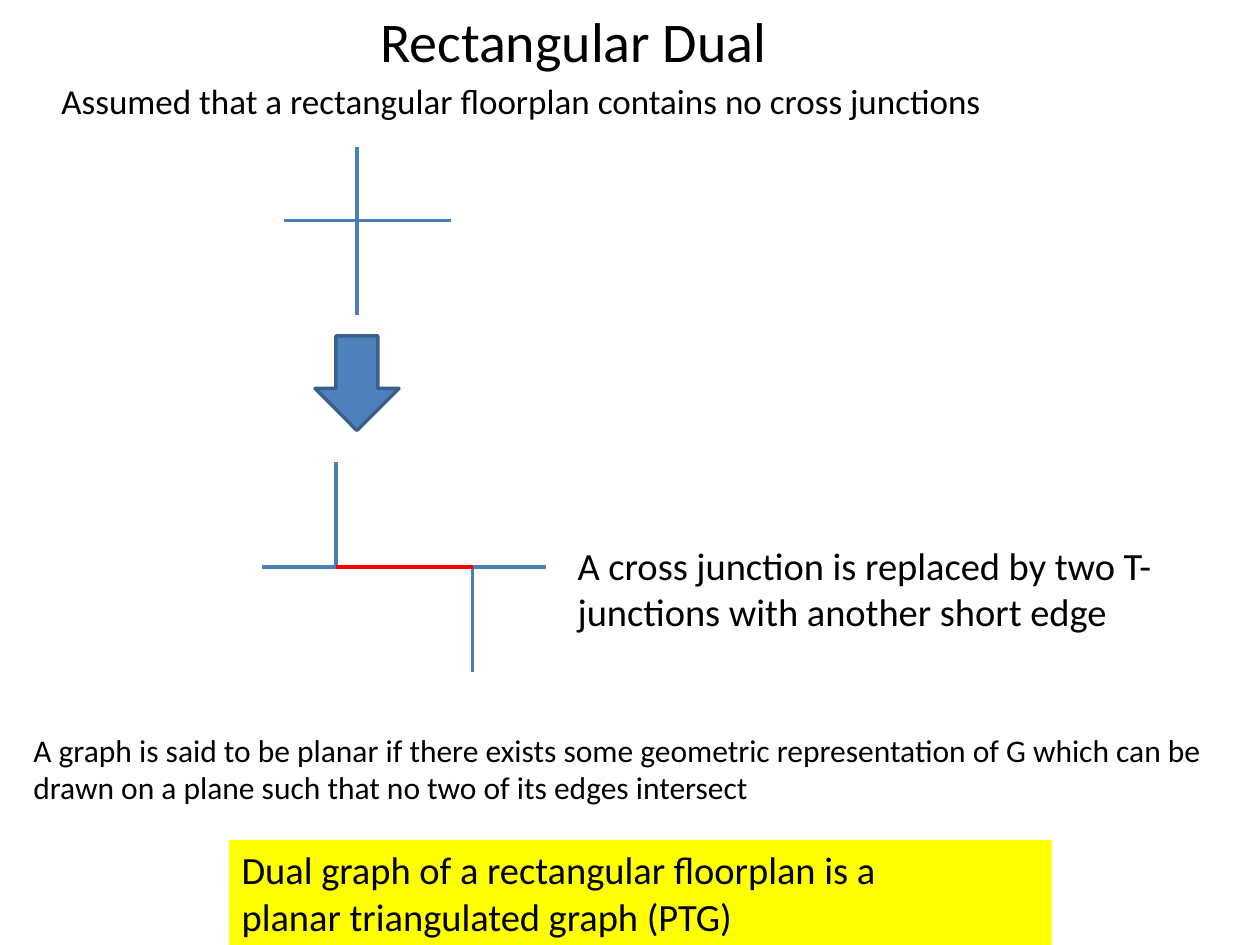
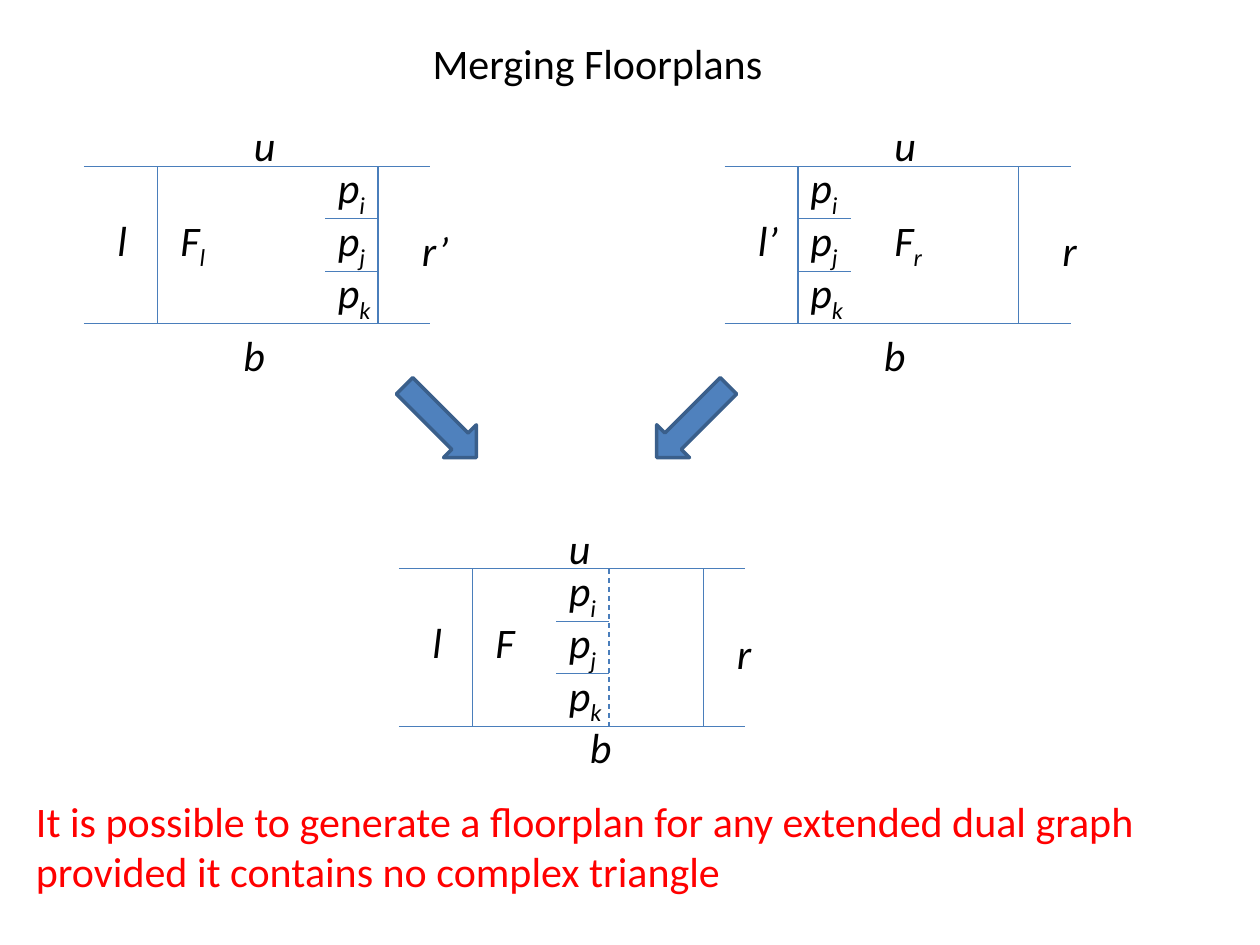
from lxml.etree import SubElement
from pptx import Presentation
from pptx.dml.color import RGBColor
from pptx.enum.dml import MSO_LINE
from pptx.enum.shapes import MSO_CONNECTOR, MSO_SHAPE
from pptx.enum.text import MSO_ANCHOR, MSO_AUTO_SIZE, PP_ALIGN
from pptx.oxml.ns import qn
from pptx.util import Pt

COLORS = {
    "text": "000000",
    "line": "4A7EBB",
    "arrow": "4F81BD",
    "arrow_edge": "3A5F8B",
    "accent": "FF0000",
    "highlight": "FFFF00",
}
FONT = "Calibri"
TITLE_ONLY = 5
ROW_HEIGHT = 30
PLAN_WIDTH, PLAN_HEIGHT = 198, 3 * ROW_HEIGHT
LEFT_WALL = 42


def color(name):
    return RGBColor.from_string(COLORS[name])


def format_text(text_frame, size, color_name="text", italic=False):
    text_frame.word_wrap = True
    text_frame.auto_size = MSO_AUTO_SIZE.NONE
    for paragraph in text_frame.paragraphs:
        paragraph.alignment = PP_ALIGN.LEFT
        for run in paragraph.runs:
            run.font.name = FONT
            run.font.size = Pt(size)
            run.font.italic = italic
            run.font.color.rgb = color(color_name)


def add_titled_slide(presentation, title, left, top, width, height, size):
    slide = presentation.slides.add_slide(presentation.slide_layouts[TITLE_ONLY])
    shape = slide.shapes.title
    shape.left, shape.top = Pt(left), Pt(top)
    shape.width, shape.height = Pt(width), Pt(height)
    shape.text_frame.text = title
    shape.text_frame.vertical_anchor = MSO_ANCHOR.TOP
    format_text(shape.text_frame, size)
    return slide


def add_text(slide, text, left, top, width, height, size, color_name="text"):
    shape = slide.shapes.add_textbox(Pt(left), Pt(top), Pt(width), Pt(height))
    shape.text_frame.text = text
    format_text(shape.text_frame, size, color_name)


def add_label(slide, label, left, top):
    """Italic symbol; the part after an underscore becomes a subscript."""
    shape = slide.shapes.add_textbox(Pt(left), Pt(top), Pt(48), Pt(38))
    symbol, _, subscript = label.partition("_")
    paragraph = shape.text_frame.paragraphs[0]
    paragraph.text = symbol
    if subscript:
        run = paragraph.add_run()
        run.text = subscript
        run.font._element.set("baseline", "-25000")
    format_text(shape.text_frame, 24, italic=True)


def add_line(slide, x1, y1, x2, y2, width=0.75, color_name="line", dashed=False):
    connector = slide.shapes.add_connector(
        MSO_CONNECTOR.STRAIGHT, Pt(x1), Pt(y1), Pt(x2), Pt(y2))
    connector.line.color.rgb = color(color_name)
    connector.line.width = Pt(width)
    if dashed:
        connector.line.dash_style = MSO_LINE.DASH
    SubElement(connector._element.spPr, qn("a:effectLst"))


def add_filled_shape(slide, kind, left, top, width, height, fill):
    shape = slide.shapes.add_shape(kind, Pt(left), Pt(top), Pt(width), Pt(height))
    shape.shadow.inherit = False
    shape.fill.solid()
    shape.fill.fore_color.rgb = color(fill)
    return shape


def add_arrow(slide, left, top, width, height, rotation=0):
    arrow = add_filled_shape(
        slide, MSO_SHAPE.DOWN_ARROW, left, top, width, height, "arrow")
    arrow.line.color.rgb = color("arrow_edge")
    arrow.line.width = Pt(2)
    arrow.rotation = rotation


def add_highlight(slide, text, left, top, width, height):
    box = add_filled_shape(
        slide, MSO_SHAPE.RECTANGLE, left, top, width, height, "highlight")
    box.line.fill.background()
    box.text_frame.text = text
    box.text_frame.vertical_anchor = MSO_ANCHOR.MIDDLE
    format_text(box.text_frame, 22)


def add_floorplan(slide, left, top, right_wall, rooms_x, labels, seam=None):
    """Draw a plan; wall, room and label offsets are measured from its corner."""
    bottom = top + PLAN_HEIGHT
    for y in (top, bottom):
        add_line(slide, left, y, left + PLAN_WIDTH, y)
    for wall in (LEFT_WALL, right_wall):
        add_line(slide, left + wall, top, left + wall, bottom)
    if seam is not None:
        add_line(slide, left + seam, top, left + seam, bottom, dashed=True)

    # Stacked rooms along the seam
    rooms_left = left + rooms_x
    for row, room in enumerate(("p_i", "p_j", "p_k")):
        y = top + row * ROW_HEIGHT
        if row:
            add_line(slide, rooms_left, y, rooms_left + 30, y)
        add_label(slide, room, rooms_left, y - 6)

    for label, x, y in labels:
        add_label(slide, label, left + x, top + y)


def build_rectangular_dual(presentation):
    slide = add_titled_slide(presentation, "Rectangular Dual", 210, 0, 436, 45, 32)
    add_text(slide, "Assumed that a rectangular floorplan contains no cross junctions",
             28, 42, 701, 31, 20)

    # Cross junction, then the two T-junctions that replace it
    for ends in ((204, 84, 204, 180), (162, 126, 258, 126),
                 (192, 264, 192, 324), (150, 324, 192, 324),
                 (270, 324, 270, 384), (270, 324, 312, 324)):
        add_line(slide, *ends, width=2.25)
    add_line(slide, 192, 324, 270, 324, width=2.25, color_name="accent")
    add_arrow(slide, 180, 192, 48, 54)

    # Explanations
    add_text(slide, "A cross junction is replaced by two T-junctions with another short edge",
             323, 306, 379, 60, 22)
    add_text(slide, "A graph is said to be planar if there exists some geometric "
             "representation of G which can be drawn on a plane such that no two "
             "of its edges intersect", 12, 414, 702, 50, 18)
    add_highlight(slide, "Dual graph of a rectangular floorplan is a\n"
                  "planar triangulated graph (PTG)", 131, 480, 470, 60)


def build_merging_floorplans(presentation):
    slide = add_titled_slide(presentation, "Merging Floorplans", 240, 18, 310, 36, 24)

    # Left and right plans
    add_floorplan(slide, 48, 95, 168, 138, [
        ("u", 90, -30), ("b", 84, 90), ("l", 12, 24), ("F_l", 48, 24), ("r’", 186, 30)])
    add_floorplan(slide, 414, 95, 168, 42, [
        ("u", 90, -30), ("b", 84, 90), ("l’", 12, 24), ("F_r", 90, 24), ("r", 186, 30)])

    # Merged plan
    add_arrow(slide, 238.5, 212, 26.5, 58, -45)
    add_arrow(slide, 382.5, 212, 26.5, 58, 45)
    add_floorplan(slide, 228, 325, 174, 90, [
        ("u", 90, -30), ("b", 102, 84), ("l", 12, 24), ("F", 48, 24), ("r", 186, 30)],
        seam=120)

    add_text(slide, "It is possible to generate a floorplan for any extended dual graph "
             "provided it contains no complex triangle", 13.5, 451, 684, 65, 24, "accent")


def main():
    presentation = Presentation()
    presentation.slide_width, presentation.slide_height = Pt(720), Pt(540)
    build_rectangular_dual(presentation)
    build_merging_floorplans(presentation)
    presentation.save("out.pptx")


if __name__ == "__main__":
    main()
